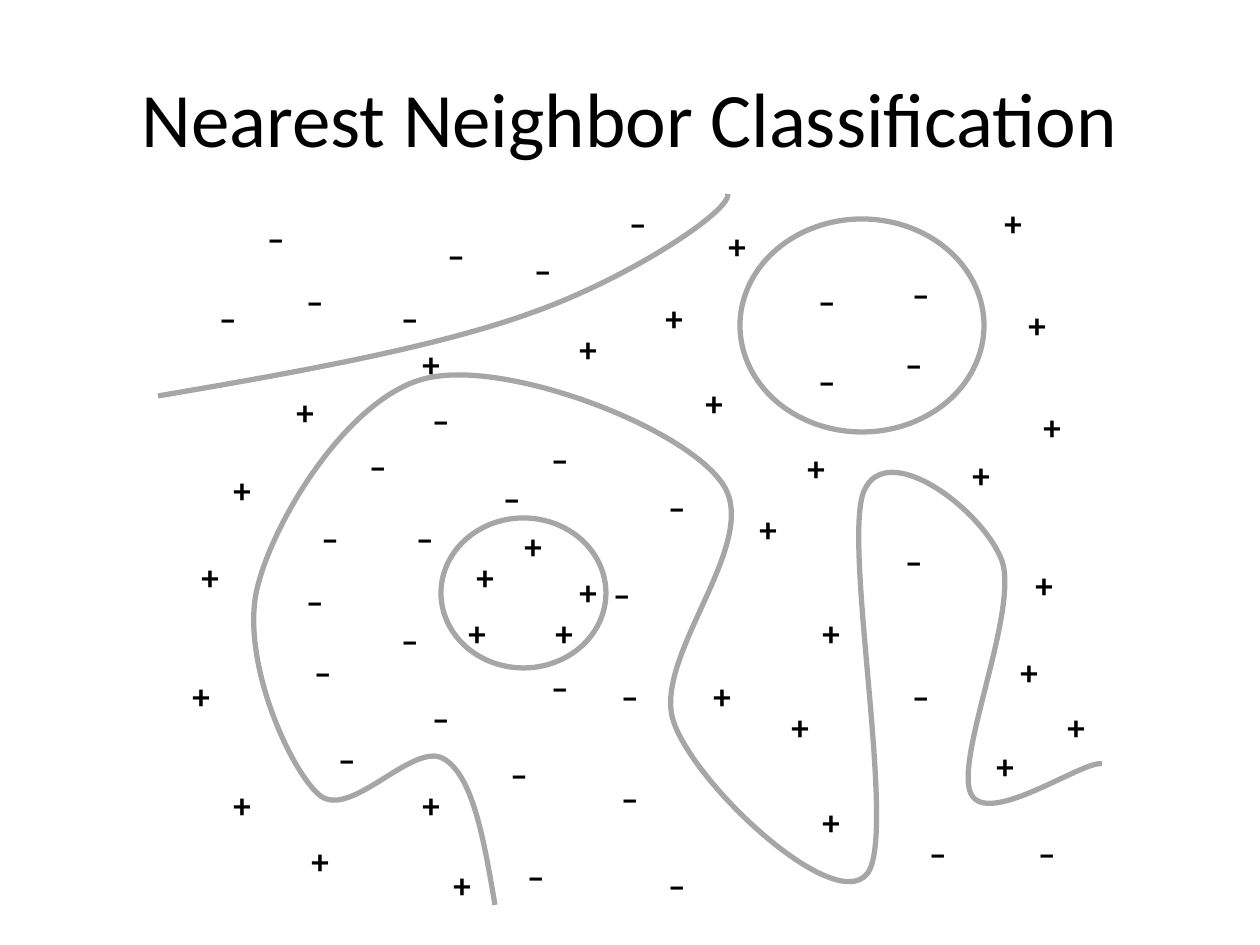
import lxml.etree
import pptx
import pptx.dml.color
import pptx.enum.shapes
import pptx.enum.text
import pptx.oxml.ns
import pptx.util

PX = 914400 / 126
BLACK = pptx.dml.color.RGBColor(0x00, 0x00, 0x00)
GRAY = pptx.dml.color.RGBColor(0xA6, 0xA6, 0xA6)

# Each boundary is a start point followed by cubic segments:
# two control points and an end point.
BOUNDARIES = [
    [(495, 905),
     (484, 840), (473, 776), (444, 759),
     (413, 740), (349, 823), (318, 794),
     (287, 765), (239, 654), (258, 585),
     (276, 515), (352, 394), (428, 378),
     (507, 360), (682, 426), (722, 483),
     (764, 541), (650, 658), (674, 723),
     (698, 789), (835, 914), (867, 874),
     (898, 837), (842, 543), (864, 491),
     (887, 438), (983, 510), (1002, 561),
     (1019, 611), (954, 760), (971, 794),
     (988, 828), (1085, 759), (1102, 764)],
    [(158, 396),
     (299, 372), (438, 347), (534, 312),
     (629, 278), (730, 212), (728, 194)],
]
ISLANDS = [(740, 219, 244, 213), (441, 518, 165, 150)]

# Left and top of each sample's box.
POSITIVES = [
    (512, 518), (456, 605), (543, 605), (464, 549), (567, 564),
    (693, 375), (567, 321), (221, 462), (189, 549), (299, 833),
    (410, 777), (180, 668), (221, 777), (701, 668), (810, 794),
    (960, 447), (984, 738), (747, 501), (810, 605), (716, 218),
    (1016, 297), (992, 195), (1023, 557), (779, 699), (1008, 644),
    (1055, 699), (410, 336), (284, 384), (1031, 399), (653, 290),
    (441, 857), (795, 440),
]
NEGATIVES = [
    (204, 290), (386, 290), (519, 242), (614, 195), (291, 273),
    (432, 227), (252, 210), (299, 644), (417, 392), (354, 438),
    (306, 510), (291, 573), (323, 731), (417, 690), (512, 848),
    (606, 668), (536, 431), (401, 510), (386, 612), (488, 470),
    (598, 566), (536, 659), (653, 479), (653, 857), (495, 746),
    (606, 770), (890, 533), (897, 668), (1023, 825), (914, 825),
    (803, 273), (803, 353), (897, 266), (890, 336),
]


def emu(*lengths):
    return [pptx.util.Emu(round(length * PX)) for length in lengths]


def add_text(page, text, left, top, width, height, size, bold=False):
    box = page.shapes.add_textbox(*emu(left, top, width, height))
    frame = box.text_frame
    frame.word_wrap = True
    para = frame.paragraphs[0]
    para.text = text
    para.alignment = pptx.enum.text.PP_ALIGN.CENTER
    para.font.name = "Calibri"
    para.font.size = pptx.util.Pt(size)
    para.font.bold = bold
    para.font.color.rgb = BLACK
    return frame


deck = pptx.Presentation()
deck.slide_width, deck.slide_height = emu(1260, 945)
page = deck.slides.add_slide(deck.slide_layouts[6])

outlines = []
for start, *points in BOUNDARIES:
    builder = page.shapes.build_freeform(*emu(*start))
    builder.add_line_segments([emu(*point) for point in points], close=False)
    outline = builder.convert_to_shape()
    # Every three straight segments become one cubic curve.
    lines = list(outline._element.iter(pptx.oxml.ns.qn("a:lnTo")))
    for first in range(0, len(lines), 3):
        curve = lxml.etree.Element(pptx.oxml.ns.qn("a:cubicBezTo"))
        lines[first].addprevious(curve)
        for line in lines[first:first + 3]:
            curve.append(line[0])
            line.getparent().remove(line)
    outlines.append(outline)

for island in ISLANDS:
    outlines.append(page.shapes.add_shape(
        pptx.enum.shapes.MSO_SHAPE.OVAL, *emu(*island)))

for outline in outlines:
    outline.shadow.inherit = False
    outline.fill.background()
    outline.line.color.rgb = GRAY
    outline.line.width = pptx.util.Pt(3)

for sign, width, samples in (("+", 39, POSITIVES), ("–", 48, NEGATIVES)):
    for left, top in samples:
        add_text(page, sign, left, top, width, 55, 20, bold=True)

title = add_text(page, "Nearest Neighbor Classification",
                 63, 38, 1134, 158, 44)
title.vertical_anchor = pptx.enum.text.MSO_ANCHOR.MIDDLE

deck.save("out.pptx")
